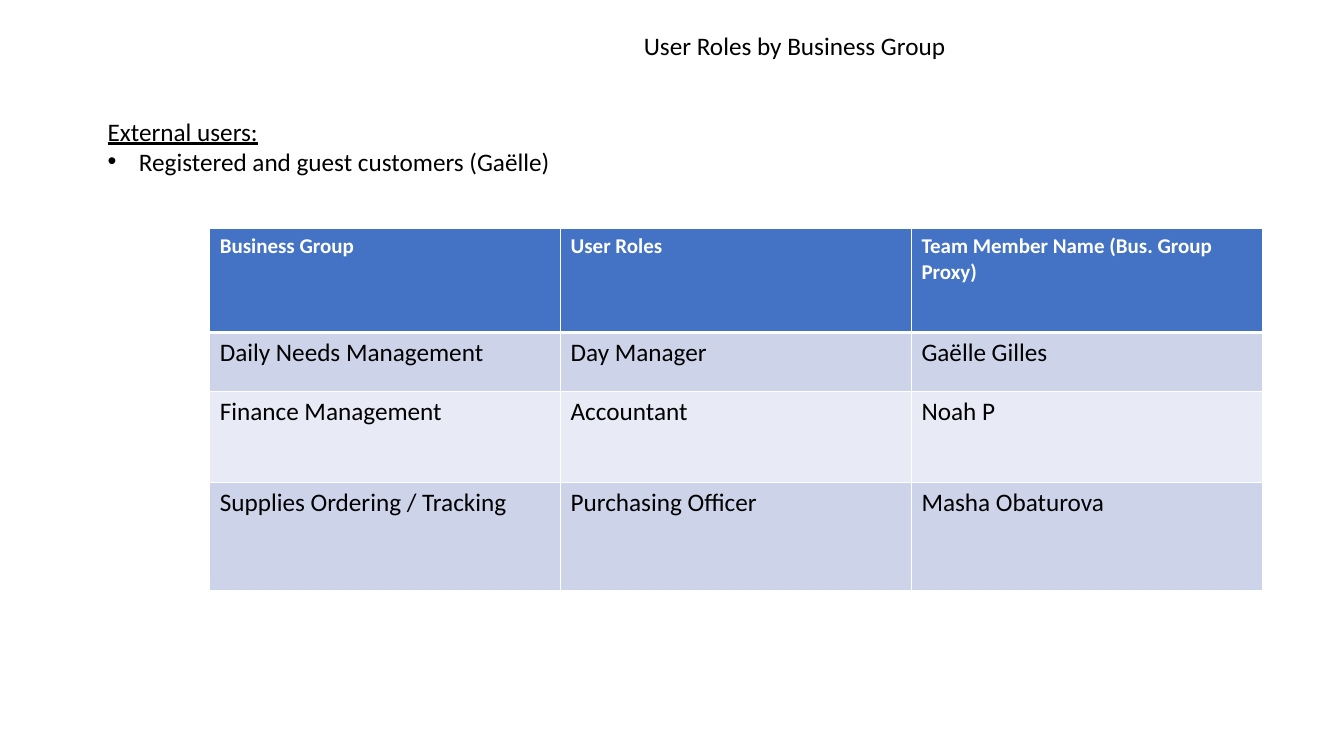
"""Build the slide that lists user roles by business group."""
from lxml.etree import SubElement
from pptx import Presentation
from pptx.dml.color import RGBColor
from pptx.enum.text import PP_ALIGN
from pptx.oxml.ns import qn
from pptx.util import Inches, Pt

TITLE = "User Roles by Business Group"
EXTERNAL_USERS = ("External users:", "Registered and guest customers (Gaëlle)")
ROLES = [
    ("Business Group", "User Roles", "Team Member Name (Bus. Group Proxy)"),
    ("Daily Needs Management", "Day Manager", "Gaëlle Gilles"),
    ("Finance Management", "Accountant", "Noah P"),
    ("Supplies Ordering / Tracking", "Purchasing Officer", "Masha Obaturova"),
]
ROW_HEIGHTS = (1.03, 0.58, 0.91, 1.07)
COLUMN_WIDTH = 3.48

FONT = "Calibri"
BLACK = RGBColor(0x00, 0x00, 0x00)
WHITE = RGBColor(0xFF, 0xFF, 0xFF)
HEADER_BLUE = RGBColor(0x44, 0x72, 0xC4)
BAND_DARK = RGBColor(0xCD, 0xD4, 0xEA)
BAND_LIGHT = RGBColor(0xE8, 0xEB, 0xF5)


def format_text(paragraph, size=18, color=BLACK, bold=False, underline=False):
    for run in paragraph.runs:
        run.font.name = FONT
        run.font.size = Pt(size)
        run.font.color.rgb = color
        run.font.bold = bold
        run.font.underline = underline


def add_text(slide, text, left, top, width, height):
    box = slide.shapes.add_textbox(Inches(left), Inches(top), Inches(width), Inches(height))
    box.text_frame.word_wrap = True
    box.text_frame.text = text
    for paragraph in box.text_frame.paragraphs:
        format_text(paragraph)
    return box.text_frame.paragraphs


def add_bullet(paragraph, indent):
    properties = paragraph._p.get_or_add_pPr()
    properties.set("marL", str(Inches(indent)))
    properties.set("indent", str(-Inches(indent)))
    SubElement(properties, qn("a:buFont"), typeface="Arial")
    SubElement(properties, qn("a:buChar"), char="•")


def add_borders(cell, row):
    widths = {"L": 1, "R": 1, "T": 3 if row == 1 else 1, "B": 3 if row == 0 else 1}
    properties = cell._tc.get_or_add_tcPr()
    for side, width in widths.items():
        line = SubElement(properties, qn(f"a:ln{side}"), w=str(Pt(width)))
        fill = SubElement(line, qn("a:solidFill"))
        SubElement(fill, qn("a:srgbClr"), val=str(WHITE))


def add_roles_table(slide, left, top):
    columns = len(ROLES[0])
    table = slide.shapes.add_table(
        len(ROLES), columns, Inches(left), Inches(top),
        Inches(columns * COLUMN_WIDTH), Inches(sum(ROW_HEIGHTS)),
    ).table
    for column in table.columns:
        column.width = Inches(COLUMN_WIDTH)
    for row, texts in enumerate(ROLES):
        table.rows[row].height = Inches(ROW_HEIGHTS[row])
        for column, text in enumerate(texts):
            cell = table.cell(row, column)
            cell.text_frame.text = text
            paragraph = cell.text_frame.paragraphs[0]
            add_borders(cell, row)
            cell.fill.solid()
            if row == 0:
                cell.fill.fore_color.rgb = HEADER_BLUE
                format_text(paragraph, size=15, color=WHITE, bold=True)
            else:
                cell.fill.fore_color.rgb = BAND_DARK if row % 2 else BAND_LIGHT
                format_text(paragraph)


def main():
    presentation = Presentation()
    presentation.slide_width = Inches(13.33)
    presentation.slide_height = Inches(7.5)
    slide = presentation.slides.add_slide(presentation.slide_layouts[6])

    add_roles_table(slide, 2.08, 2.27)
    heading, customers = add_text(slide, "\n".join(EXTERNAL_USERS), 0.97, 1.1, 4.64, 0.71)
    format_text(heading, underline=True)
    add_bullet(customers, 0.31)
    title = add_text(slide, TITLE, 4.42, 0.25, 6.92, 1.01)[0]
    title.alignment = PP_ALIGN.CENTER

    presentation.save("out.pptx")


if __name__ == "__main__":
    main()
